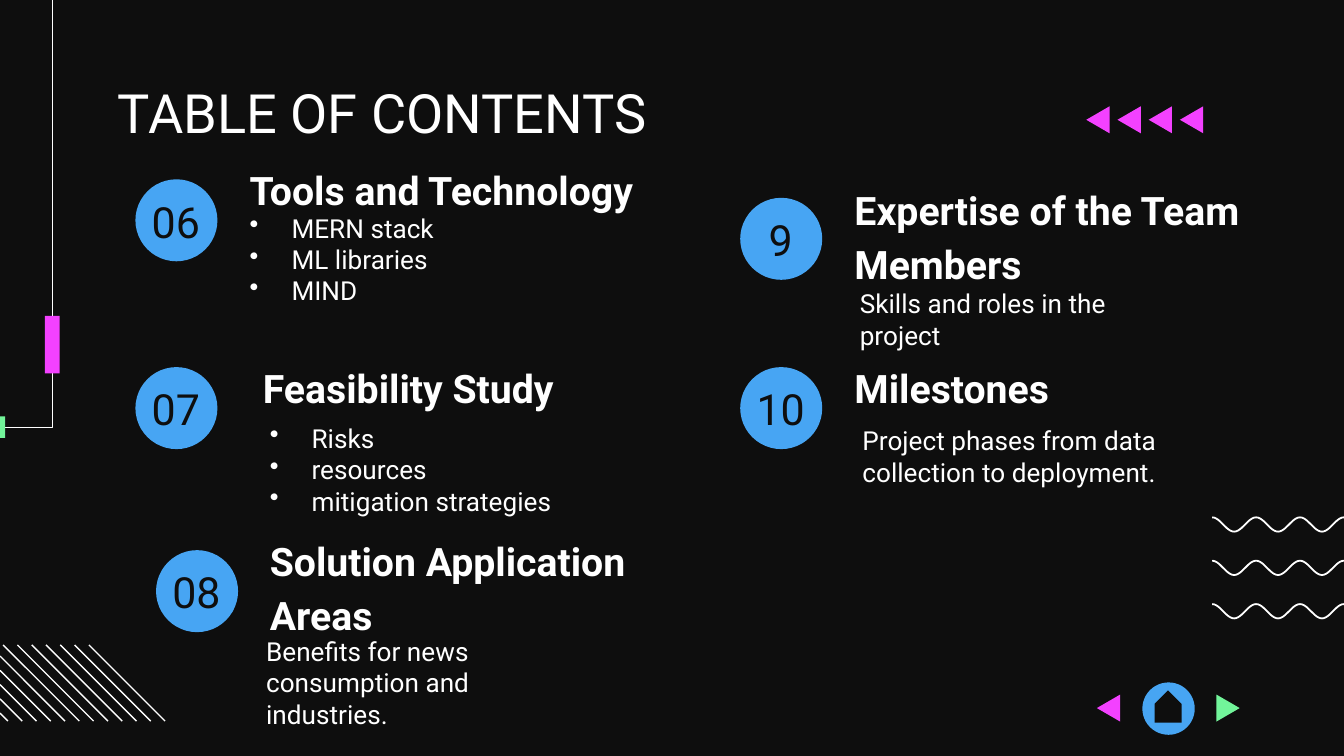
import math

import lxml.etree
import pptx
import pptx.dml.color
import pptx.enum.shapes
import pptx.enum.text
import pptx.oxml.ns
import pptx.util

Cm = pptx.util.Cm
Pt = pptx.util.Pt
SHAPE = pptx.enum.shapes.MSO_SHAPE
ALIGN = pptx.enum.text.PP_ALIGN
qn = pptx.oxml.ns.qn

SLIDE_W, SLIDE_H = 25.4, 14.29
BLACK, WHITE, BLUE, PINK, GREEN = "0E0E0E", "FFFFFF", "47A5F3", "F341FF", "72F49A"
INDENT = 0.79

# number, box left/top, heading, heading offset and width, body lines, body offset and width, bulleted
ENTRIES = [
    ("06", (2.18, 3.18), "Tools and Technology", (2.29, -0.16, 8.53),
     ["MERN stack", "ML libraries", "MIND"], (2.29, 0.83, 7.04), True),
    ("07", (2.18, 6.73), "Feasibility Study", (2.54, 0.03, 8.03),
     ["Risks", "resources", "mitigation strategies"], (2.67, 1.25, 6.53), True),
    ("08", (2.57, 10.19), "Solution Application Areas", (2.28, -0.16, 8.03),
     ["Benefits for news consumption and industries."], (2.21, 1.82, 6.53), False),
    ("9", (13.61, 3.53), "Expertise of the Team Members", (2.29, -0.15, 8.03),
     ["Skills and roles in the project"], (2.39, 1.91, 6.53), False),
    ("10", (13.61, 6.73), "Milestones", (2.29, 0.03, 8.03),
     ["Project phases from data collection to deployment."], (2.44, 1.3, 6.53), False),
]


def color(hex_code):
    return pptx.dml.color.RGBColor.from_string(hex_code)


def paint(shape, fill):
    shape.shadow.inherit = False
    shape.fill.solid()
    shape.fill.fore_color.rgb = color(fill)
    shape.line.fill.background()


def add_preset(slide, kind, left, top, width, height, fill):
    shape = slide.shapes.add_shape(kind, Cm(left), Cm(top), Cm(width), Cm(height))
    paint(shape, fill)
    return shape


def add_outline(slide, points, close):
    corners = [(Cm(x), Cm(y)) for x, y in points]
    builder = slide.shapes.build_freeform(*corners[0])
    builder.add_line_segments(corners[1:], close=close)
    return builder.convert_to_shape()


def add_open_line(slide, points, weight):
    stroke = add_outline(slide, points, close=False)
    stroke.shadow.inherit = False
    stroke.fill.background()
    stroke.line.color.rgb = color(WHITE)
    stroke.line.width = Pt(weight)


def add_triangle(slide, left, top, fill, points_left=True):
    width, height = 0.44, 0.51
    base, tip = (left + width, left) if points_left else (left, left + width)
    corners = [(base, top), (tip, top + height / 2), (base, top + height)]
    paint(add_outline(slide, corners, close=True), fill)


def add_text(slide, box, lines, size, fill=WHITE, bold=False, top_inset=0.0,
             align=ALIGN.LEFT, spacing=None, bulleted=False):
    frame = slide.shapes.add_textbox(*map(Cm, box)).text_frame
    frame.word_wrap = True
    frame.margin_left = frame.margin_right = frame.margin_bottom = Cm(0.25)
    frame.margin_top = Cm(top_inset)
    for index, line in enumerate(lines):
        paragraph = frame.paragraphs[0] if index == 0 else frame.add_paragraph()
        paragraph.alignment = align
        if spacing:
            paragraph.line_spacing = spacing
        run = paragraph.add_run()
        run.text = line
        run.font.name = "Roboto"
        run.font.size = Pt(size)
        run.font.bold = bold
        run.font.color.rgb = color(fill)
        if bulleted:
            add_bullet(paragraph, fill)


def add_bullet(paragraph, fill):
    properties = paragraph._p.get_or_add_pPr()
    properties.set("marL", str(Cm(INDENT)))
    properties.set("indent", str(-Cm(INDENT)))
    tint = lxml.etree.SubElement(properties, qn("a:buClr"))
    lxml.etree.SubElement(tint, qn("a:srgbClr")).set("val", fill)
    lxml.etree.SubElement(properties, qn("a:buChar")).set("char", "•")


def add_waves(slide, left, top, right):
    height, period, gap, steps = 0.27, 0.83, 0.82, 72
    for row in range(3):
        points = []
        for step in range(steps + 1):
            along = (right - left) * step / steps
            dip = height * (1 - math.cos(2 * math.pi * along / period)) / 2
            points.append((left + along, top + row * gap + dip))
        add_open_line(slide, points, 0.95)


def add_hatching(slide, top, last_left, side):
    gap = 0.27
    for index in range(12):
        left = last_left - index * gap
        start = max(left, 0)  # lines begin at the slide edge
        stroke = slide.shapes.add_connector(
            pptx.enum.shapes.MSO_CONNECTOR.STRAIGHT,
            Cm(start), Cm(top + start - left), Cm(left + side), Cm(top + side))
        stroke.line.color.rgb = color(WHITE)
        stroke.line.width = Pt(0.75)
        lxml.etree.SubElement(stroke._element.spPr, qn("a:effectLst"))


def add_corner_rail(slide, right, bottom):
    add_open_line(slide, [(0, bottom), (right, bottom), (right, 0)], 0.75)
    add_preset(slide, SHAPE.RECTANGLE, 0, bottom - 0.21, 0.1, 0.41, GREEN)
    add_preset(slide, SHAPE.RECTANGLE, right - 0.14, 5.97, 0.28, 1.09, PINK)


def add_entry(slide, number, corner, heading, heading_place, body, body_place, bulleted):
    left, top = corner
    add_preset(slide, SHAPE.OVAL, left + 0.38, top + 0.21, 1.55, 1.55, BLUE)
    add_text(slide, (left, top, 2.29, 1.55), [number], 23, BLACK,
             top_inset=0.51, align=ALIGN.CENTER)
    dx, dy, width = heading_place
    add_text(slide, (left + dx, top + dy, width, 1), [heading], 21,
             bold=True, spacing=1.15)
    dx, dy, width = body_place
    add_text(slide, (left + dx, top + dy, width, 1.52), body, 14, bulleted=bulleted)


def add_arrow_row(slide, left, top):
    for index in range(4):
        add_triangle(slide, left + index * 0.59, top, PINK)


def add_navigation(slide, left, top):
    add_triangle(slide, left, top + 0.23, PINK)
    add_preset(slide, SHAPE.OVAL, left + 0.86, top, 0.99, 0.99, BLUE)
    home = add_preset(slide, SHAPE.PENTAGON, left + 1.04, top + 0.2, 0.61, 0.51, BLACK)
    home.rotation = 270
    add_triangle(slide, left + 2.26, top + 0.23, GREEN, points_left=False)


def main():
    deck = pptx.Presentation()
    deck.slide_width, deck.slide_height = Cm(SLIDE_W), Cm(SLIDE_H)
    slide = deck.slides.add_slide(deck.slide_layouts[6])
    slide.background.fill.solid()
    slide.background.fill.fore_color.rgb = color(BLACK)

    # Decoration
    add_waves(slide, 22.91, 9.78, SLIDE_W)
    add_hatching(slide, 12.19, 1.68, 1.44)
    add_corner_rail(slide, 0.99, 8.08)

    # Title and contents
    add_text(slide, (1.98, 1.5, 21.44, 1.17), ["TABLE OF CONTENTS"], 29)
    for entry in ENTRIES:
        add_entry(slide, *entry)

    # Arrows and navigation
    add_arrow_row(slide, 20.53, 2.01)
    add_navigation(slide, 20.73, 12.9)
    deck.save("out.pptx")


if __name__ == "__main__":
    main()
